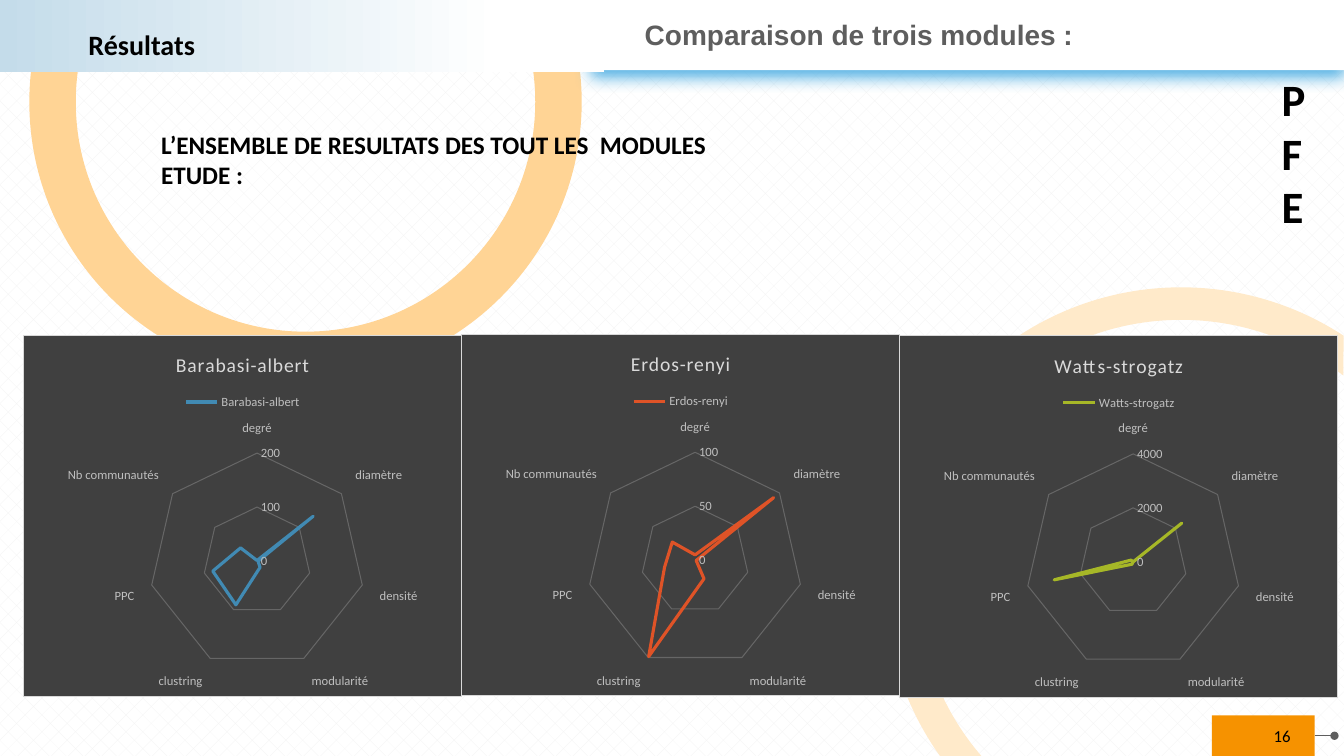
from dataclasses import dataclass
from math import cos, radians, sin, tan

from lxml import etree
from pptx import Presentation
from pptx.chart.data import CategoryChartData
from pptx.dml.color import RGBColor
from pptx.enum import chart as charts
from pptx.enum import dml, shapes, text
from pptx.oxml import parse_xml
from pptx.oxml.ns import nsdecls, qn
from pptx.util import Cm, Pt

COLORS = {
    "black": "000000", "white": "FFFFFF", "brick": "F2F2F2", "heading": "5E5E5E",
    "tab": "F69200", "mist": "C4DCEA", "glow": "4FAFE3", "panel": "404040",
    "border": "D9D9D9", "label": "BFBFBF", "ring": "FFD495", "pale_ring": "FFEACA",
    "barabasi": "418AB3", "erdos": "DF5327", "watts": "A6B727",
}
MEASURES = ["degré", "diamètre", "densité", "modularité", "clustring", "PPC", "Nb communautés"]
PANEL_LEFT, PANEL_PITCH, PANEL_WIDTH, PANEL_HEIGHT = 0.58, 11.04, 11.07, 9.13


@dataclass
class Arc:
    radius: float
    angles: list[float]


@dataclass
class Ring:
    x: float
    y: float
    outer: Arc
    inner: Arc
    color: str


@dataclass
class Label:
    wording: str
    box: tuple[float, float, float, float]
    size: int
    bold: bool = True
    align: text.PP_ALIGN = text.PP_ALIGN.LEFT
    anchor: text.MSO_ANCHOR = text.MSO_ANCHOR.TOP


@dataclass
class Model:
    name: str
    column: int
    top: float
    values: list[int]
    step: int
    color: str


RINGS = [
    Ring(7.7, 2.57, Arc(6.96, [-21.63, 0, 90, 180, 201.63]),
         Arc(5.79, [206.29, 180, 90, 0, -26.29]), "ring"),
    Ring(29.77, 14.71, Arc(7.47, [144.43, 180, 270, 303.2]),
         Arc(6.65, [307.92, 270, 180, 139.26]), "pale_ring"),
]
PAGE = Label("16", (28.5, 18.03, 7.62, 1.02), 12, False, text.PP_ALIGN.CENTER,
             text.MSO_ANCHOR.MIDDLE)
SECTION = Label("Résultats", (1.98, 0.56, 14.94, 1.12), 20)
PROJECT = Label("PFE", (32.05, 1.68, 2.13, 8.76), 32)
SUMMARY = Label("L’ENSEMBLE DE RESULTATS DES TOUT LES  MODULES ETUDE :",
                (3.81, 3.14, 15.77, 1.02), 18)
MODELS = [
    Model("Erdos-renyi", 1, 8.41, [5, 93, 1, 19, 99, 29, 27], 50, "erdos"),
    Model("Barabasi-albert", 0, 8.43, [1, 133, 2, 13, 90, 84, 39], 100, "barabasi"),
    Model("Watts-strogatz", 2, 8.45, [0, 2300, 0, 0, 100, 3000, 100], 2000, "watts"),
]


def rgb(name: str) -> RGBColor:
    return RGBColor.from_string(COLORS[name])


def style_font(font, size: int, color: str, bold: bool = False, face: str = "Calibri") -> None:
    font.size, font.bold, font.name = Pt(size), bold, face
    font.color.rgb = rgb(color)


def paint(shape, color: str) -> None:
    shape.shadow.inherit = False
    shape.fill.solid()
    shape.fill.fore_color.rgb = rgb(color)
    shape.line.fill.background()


def add_bar(slide, box: tuple[float, float, float, float], color: str):
    bar = slide.shapes.add_shape(shapes.MSO_SHAPE.RECTANGLE, *map(Cm, box))
    paint(bar, color)
    return bar


def arc_points(ring: Ring, arc: Arc) -> list[tuple[int, int]]:
    def place(angle: float, pull: float = 0) -> tuple[int, int]:
        return (Cm(ring.x + arc.radius * (cos(angle) - pull * sin(angle))),
                Cm(ring.y + arc.radius * (sin(angle) + pull * cos(angle))))

    turns = [radians(angle) for angle in arc.angles]
    points = [place(turns[0])]
    for start, end in zip(turns, turns[1:]):
        pull = 4 / 3 * tan((end - start) / 4)
        points += [place(start, pull), place(end, -pull), place(end)]
    return points


def add_ring(slide, ring: Ring) -> None:
    outer, inner = arc_points(ring, ring.outer), arc_points(ring, ring.inner)
    builder = slide.shapes.build_freeform(*outer[0])
    builder.add_line_segments(outer[1:] + inner, close=True)
    band = builder.convert_to_shape()
    paint(band, ring.color)
    lines = list(band._element.iter(qn("a:lnTo")))
    bends = lines[:len(outer) - 1] + lines[len(outer):]
    for first, second, last in zip(bends[::3], bends[1::3], bends[2::3]):
        curve = etree.Element(qn("a:cubicBezTo"))
        first.addprevious(curve)
        for line in (first, second, last):
            curve.append(line[0])
            line.getparent().remove(line)


def add_label(slide, label: Label):
    box = slide.shapes.add_textbox(*map(Cm, label.box))
    frame = box.text_frame
    frame.word_wrap = True
    frame.vertical_anchor = label.anchor
    paragraph = frame.paragraphs[0]
    paragraph.alignment = label.align
    run = paragraph.add_run()
    run.text = label.wording
    style_font(run.font, label.size, "black", label.bold)
    return box


def style_axis(axis) -> None:
    axis.major_tick_mark = axis.minor_tick_mark = charts.XL_TICK_MARK.NONE
    style_font(axis.tick_labels.font, 9, "label")
    axis.format.line.fill.background()
    axis.has_major_gridlines = True
    grid = axis.major_gridlines.format.line
    grid.width = Pt(0.75)
    grid.color.rgb = rgb("white")
    tint = axis._element.find(f".//{qn('c:majorGridlines')}//{qn('a:srgbClr')}")
    etree.SubElement(tint, qn("a:alpha")).set("val", "20000")


def add_radar(slide, model: Model) -> None:
    data = CategoryChartData()
    data.categories = MEASURES
    data.add_series(model.name, model.values)
    radar = slide.shapes.add_chart(
        charts.XL_CHART_TYPE.RADAR, Cm(PANEL_LEFT + model.column * PANEL_PITCH),
        Cm(model.top), Cm(PANEL_WIDTH), Cm(PANEL_HEIGHT), data).chart
    style_font(radar.font, 10, "black")
    radar.has_title = True
    heading = radar.chart_title.text_frame.paragraphs[0].add_run()
    heading.text = model.name
    style_font(heading.font, 14, "border")
    heading._r.get_or_add_rPr().set("spc", "50")
    radar.has_legend = True
    radar.legend.position = charts.XL_LEGEND_POSITION.TOP
    radar.legend.include_in_layout = False
    style_font(radar.legend.font, 9, "label")
    style_axis(radar.category_axis)
    scale = radar.value_axis
    style_axis(scale)
    scale.minimum_scale, scale.maximum_scale, scale.major_unit = 0, 2 * model.step, model.step
    radar.plots[0].vary_by_categories = False
    trace = radar.plots[0].series[0].format.line
    trace.width = Pt(2.25)
    trace.color.rgb = rgb(model.color)
    radar._chartSpace.find(qn("c:chart")).addnext(parse_xml(
        f'<c:spPr {nsdecls("c", "a")}>'
        f'<a:solidFill><a:srgbClr val="{COLORS["panel"]}"/></a:solidFill>'
        f'<a:ln w="9525"><a:solidFill><a:srgbClr val="{COLORS["border"]}"/></a:solidFill></a:ln>'
        '</c:spPr>'))


def add_page_marker(slide) -> None:
    tab = add_bar(slide, (30.54, 18.03, 2.59, 1.02), "tab")
    stem = slide.shapes.add_connector(shapes.MSO_CONNECTOR.STRAIGHT,
                                      Cm(33.13), Cm(18.54), Cm(33.63), Cm(18.54))
    stem.begin_connect(tab, 3)
    stem.line.color.rgb = rgb("heading")
    stem.line.width = Pt(0.5)
    etree.SubElement(stem.line._get_or_add_ln(), qn("a:tailEnd")).set("type", "oval")
    etree.SubElement(stem._element.spPr, qn("a:effectLst"))
    add_label(slide, PAGE)


def add_header(slide) -> None:
    banner = add_bar(slide, (14.88, -0.03, 18.99, 1.8), "white")
    banner._element.spPr.find(qn("a:effectLst")).append(parse_xml(
        f'<a:outerShdw {nsdecls("a")} blurRad="152400" dist="63500" dir="5400000" '
        f'rotWithShape="0"><a:srgbClr val="{COLORS["glow"]}"/></a:outerShdw>'))
    fade = add_bar(slide, (0, -0.05, 15.22, 1.87), "mist")
    fade.fill.gradient()
    fade.fill.gradient_angle = 0
    for stop, color, position in zip(fade.fill.gradient_stops, ("mist", "white"), (0, 0.83)):
        stop.color.rgb = rgb(color)
        stop.position = position
    section = add_label(slide, SECTION)

    title = slide.shapes.title
    title.left, title.top, title.width, title.height = map(Cm, (15.87, 0.31, 11.56, 1.12))
    frame = title.text_frame
    frame.word_wrap = False
    frame.auto_size = text.MSO_AUTO_SIZE.NONE
    frame.vertical_anchor = text.MSO_ANCHOR.TOP
    paragraph = frame.paragraphs[0]
    paragraph.alignment = text.PP_ALIGN.CENTER
    run = paragraph.add_run()
    run.text = "Comparaison de trois modules :"
    style_font(run.font, 20, "heading", True, "Arial")
    section._element.addnext(title._element)


def main() -> None:
    deck = Presentation()
    deck.slide_width, deck.slide_height = Cm(33.87), Cm(19.05)
    slide = deck.slides.add_slide(deck.slide_layouts[5])
    backdrop = slide.background.fill
    backdrop.patterned()
    backdrop.pattern = dml.MSO_PATTERN.DIAGONAL_BRICK
    backdrop.fore_color.rgb, backdrop.back_color.rgb = rgb("brick"), rgb("white")
    for ring in RINGS:
        add_ring(slide, ring)
    add_page_marker(slide)
    add_header(slide)
    project = add_label(slide, PROJECT)
    project.text_frame._txBody.bodyPr.set("vert", "wordArtVert")
    for model in MODELS:
        add_radar(slide, model)
    add_label(slide, SUMMARY)
    deck.save("out.pptx")


if __name__ == "__main__":
    main()
